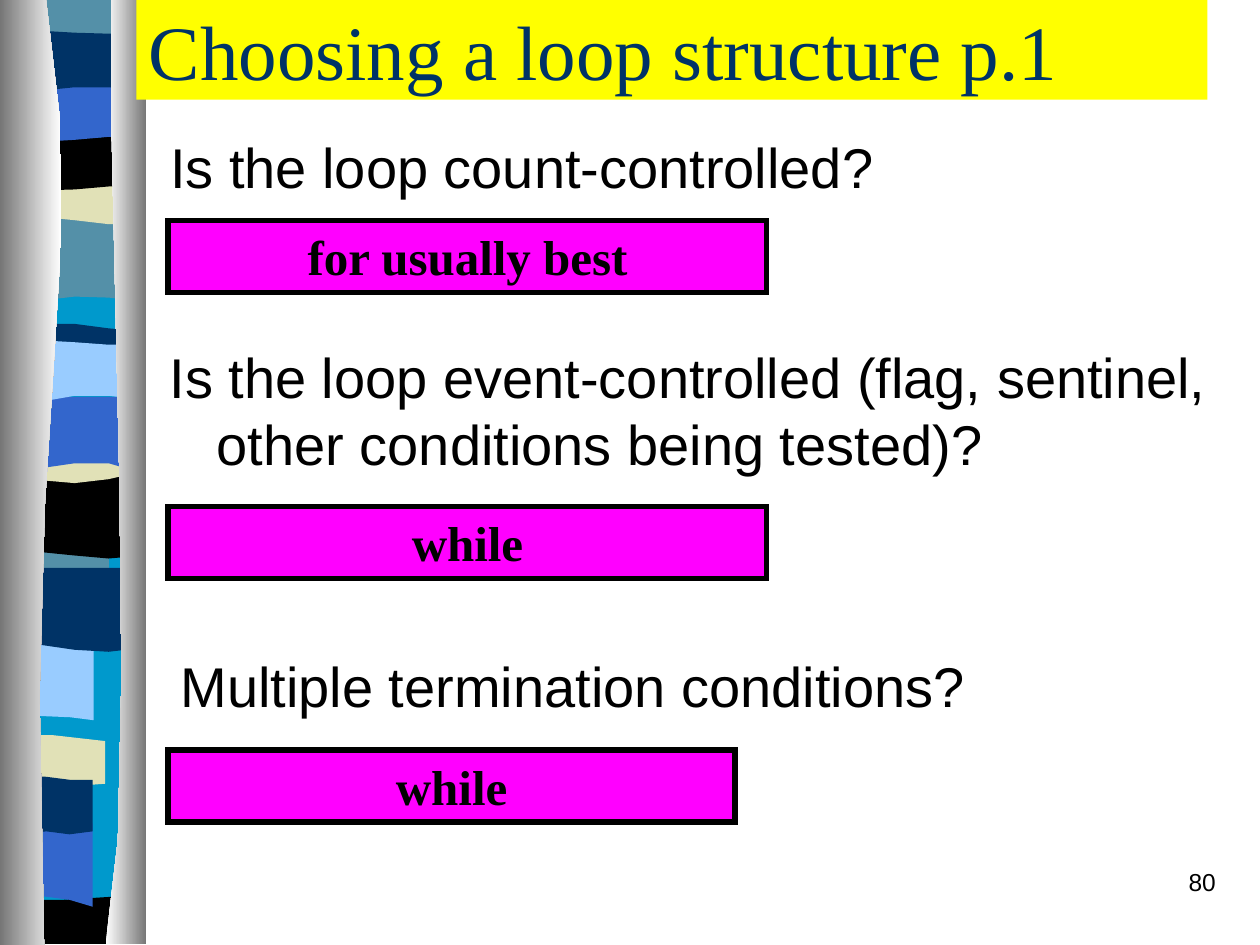
from dataclasses import dataclass

import lxml.etree
import pptx
import pptx.dml.color
import pptx.enum.shapes
import pptx.enum.text
import pptx.oxml.ns
import pptx.util

Cm = pptx.util.Cm
Pt = pptx.util.Pt
Align = pptx.enum.text.PP_ALIGN
Point = tuple[float, float]

COLORS = {
    "black": "000000", "white": "FFFFFF", "grey": "767676", "navy": "003366",
    "blue": "3366CC", "sky": "99CCFF", "cyan": "0099CC", "teal": "5490A8",
    "sand": "E1E1B7", "yellow": "FFFF00", "magenta": "FF00FF",
}
CURVE_STEPS = 6


@dataclass
class Band:
    """A wavy stripe; edge heights are evenly spaced, a single one is level."""
    color: str
    top: tuple[float, ...]
    bottom: tuple[float, ...]
    left: float = 0.13
    right: float = 2.88


@dataclass
class Column:
    """A shaded pillar with one edge straight and one curved."""
    curve: tuple[Point, Point, Point, Point]
    straight_edge: float
    colors: tuple[str, str]


@dataclass
class TextBlock:
    text: str
    left: float
    top: float
    width: float
    height: float
    size: float = 32
    font: str = "Arial"
    color: str = "black"
    bold: bool = False
    align: Align = Align.LEFT
    middle: bool = False
    fill: str | None = None
    border: float = 0
    hanging: float = 0
    space_before: float = 3


BANDS = [
    Band("cyan", (0,), (19.03,), right=2.9),
    # Upper group
    Band("teal", (4.4, 4.4, 4.42, 4.46, 4.46), (6.08, 6.06, 5.98, 6, 6.08)),
    Band("sand", (3.5,), (4.36, 4.37, 4.44, 4.52, 4.5)),
    Band("teal", (0,), (0.75,)),
    Band("black", (2.86, 2.84, 2.8, 2.76, 2.78), (3.84, 3.84, 3.82, 3.76, 3.74)),
    Band("blue", (1.6,), (2.84, 2.86, 2.82, 2.76, 2.8)),
    Band("navy", (0.58, 0.62, 0.66, 0.68, 0.68), (1.8, 1.83, 1.76, 1.76, 1.84)),
    # Middle group
    Band("teal", (10.6,), (11.7,), 0, 2.2),
    Band("black", (9.6,), (11.1, 11.13, 11.2, 11.26, 11.2)),
    Band("navy", (6.53, 6.53, 6.53, 6.62, 6.68), (7,)),
    Band("sand", (9.1,), (9.66, 9.68, 9.74, 9.66, 9.5)),
    Band("blue", (8,), (9.4, 9.44, 9.34, 9.34, 9.54)),
    Band("sky", (6.84, 6.86, 6.9, 6.95, 6.95), (8.08, 8.1, 7.98, 7.98, 8.06)),
    # Lower group
    Band("sky", (12.9,), (14.4, 14.42, 14.44, 14.46, 14.52), 0, 1.89),
    Band("navy", (11.45,), (13, 13, 13.1, 13.14, 13.06)),
    Band("sand", (14.82, 14.82, 14.82, 14.88, 14.94),
         (15.6, 15.66, 15.74, 15.84, 15.8), 0, 2.12),
    Band("black", (18.1, 18.14, 18.14, 18.1, 18.06), (19.03,), 0, 2.55),
    Band("blue", (16.6,), (18, 18, 18.08, 18.14, 18.28), 0, 1.87),
    Band("navy", (15.64, 15.64, 15.66, 15.72, 15.72),
         (16.8, 16.82, 16.76, 16.82, 16.76), 0, 1.87),
]

COLUMNS = [
    Column(((0.93, 0), (1.87, 5.49), (0.43, 7.52), (0.89, 19.05)), 0, ("grey", "white")),
    Column(((2.24, 0), (2.13, 3.18), (2.84, 16.41), (2.13, 19.03)), 2.95,
           ("white", "grey")),
]


def question(text: str, left: float, top: float, height: float) -> TextBlock:
    return TextBlock(text, left, top, 21.59, height, hanging=0.95)


def answer(text: str, top: float, width: float) -> TextBlock:
    return TextBlock(text, 3.39, top, width, 1.45, size=28, font="Times New Roman",
                     bold=True, align=Align.CENTER, fill="magenta", border=3)


TEXT_BLOCKS = [
    TextBlock("80", 19.48, 17.35, 5.28, 1.27, size=14, align=Align.RIGHT, space_before=1),
    TextBlock("Choosing a loop structure p.1", 2.75, 0, 21.59, 2.01, size=44,
              font="Times New Roman", color="navy", middle=True, fill="yellow",
              space_before=0),
    question("Is the loop count-controlled?", 3.18, 2.54, 1.73),
    answer("for usually best", 4.45, 12.07),
    question("Is the loop event-controlled (flag, sentinel, other conditions being tested)?",
             3.17, 6.78, 1.7),
    answer("while", 10.21, 12.07),
    question("Multiple termination conditions?", 3.39, 13, 1.9),
    answer("while", 15.12, 11.43),
]


def rgb(name: str) -> pptx.dml.color.RGBColor:
    return pptx.dml.color.RGBColor.from_string(COLORS[name])


def draw_outline(slide, points: list[Point]):
    corners = [(Cm(x), Cm(y)) for x, y in points]
    builder = slide.shapes.build_freeform(*corners[0])
    builder.add_line_segments(corners[1:], close=True)
    shape = builder.convert_to_shape()
    shape.shadow.inherit = False
    shape.line.fill.background()
    return shape


def edge_points(band: Band, heights: tuple[float, ...]) -> list[Point]:
    if len(heights) == 1:
        heights = heights * 2
    step = (band.right - band.left) / (len(heights) - 1)
    return [(band.left + i * step, height) for i, height in enumerate(heights)]


def draw_band(slide, band: Band) -> None:
    bottom = edge_points(band, band.bottom)
    shape = draw_outline(slide, edge_points(band, band.top) + bottom[::-1])
    shape.fill.solid()
    shape.fill.fore_color.rgb = rgb(band.color)


def curve_point(curve: tuple[Point, ...], t: float) -> Point:
    weights = ((1 - t)**3, 3 * t * (1 - t)**2, 3 * t * t * (1 - t), t**3)
    return tuple(sum(w * point[axis] for w, point in zip(weights, curve))
                 for axis in (0, 1))


def draw_column(slide, column: Column) -> None:
    points = [curve_point(column.curve, i / CURVE_STEPS) for i in range(CURVE_STEPS + 1)]
    points += [(column.straight_edge, points[-1][1]), (column.straight_edge, 0)]
    shape = draw_outline(slide, points)
    shape.fill.gradient()
    shape.fill.gradient_angle = 0
    for stop, color in zip(shape.fill.gradient_stops, column.colors):
        stop.color.rgb = rgb(color)


def draw_rectangle(slide, block: TextBlock):
    shape = slide.shapes.add_shape(
        pptx.enum.shapes.MSO_SHAPE.RECTANGLE,
        Cm(block.left), Cm(block.top), Cm(block.width), Cm(block.height))
    shape.shadow.inherit = False
    shape.fill.solid()
    shape.fill.fore_color.rgb = rgb(block.fill)
    if block.border:
        shape.line.color.rgb = rgb("black")
        shape.line.width = Pt(block.border)
        # Square corners
        miter = lxml.etree.SubElement(shape.line._get_or_add_ln(),
                                      pptx.oxml.ns.qn("a:miter"))
        miter.set("lim", "800000")
    else:
        shape.line.fill.background()
    return shape


def draw_text(slide, block: TextBlock) -> None:
    if block.fill:
        shape = draw_rectangle(slide, block)
    else:
        shape = slide.shapes.add_textbox(
            Cm(block.left), Cm(block.top), Cm(block.width), Cm(block.height))
    frame = shape.text_frame
    frame.word_wrap = True
    anchors = pptx.enum.text.MSO_ANCHOR
    frame.vertical_anchor = anchors.MIDDLE if block.middle else anchors.TOP
    paragraph = frame.paragraphs[0]
    paragraph.alignment = block.align
    paragraph.space_before = Pt(block.space_before)
    if block.hanging:
        properties = paragraph._p.get_or_add_pPr()
        properties.set("marL", str(Cm(block.hanging)))
        properties.set("indent", str(-Cm(block.hanging)))
    run = paragraph.add_run()
    run.text = block.text
    run.font.name = block.font
    run.font.size = Pt(block.size)
    run.font.bold = block.bold
    run.font.color.rgb = rgb(block.color)


def main() -> None:
    presentation = pptx.Presentation()
    presentation.slide_width, presentation.slide_height = Cm(25.4), Cm(19.05)
    slide = presentation.slides.add_slide(presentation.slide_layouts[6])
    # Decorated strip on the left
    for band in BANDS:
        draw_band(slide, band)
    for column in COLUMNS:
        draw_column(slide, column)
    # Title, questions, answers and page number
    for block in TEXT_BLOCKS:
        draw_text(slide, block)
    presentation.save("out.pptx")


if __name__ == "__main__":
    main()
